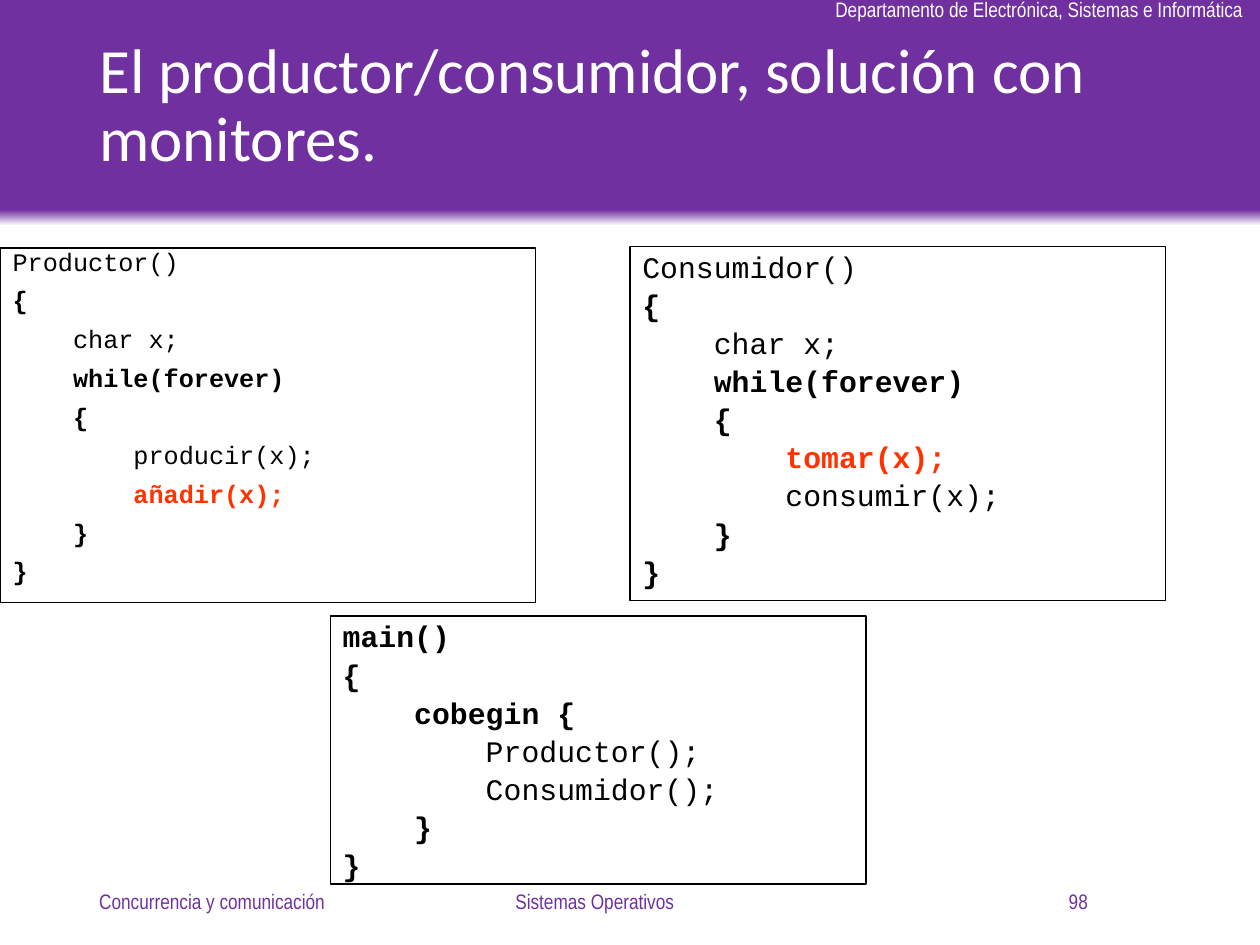
from lxml import etree
from pptx import Presentation
from pptx.dml.color import RGBColor
from pptx.enum.shapes import MSO_SHAPE
from pptx.enum.text import MSO_ANCHOR, MSO_AUTO_SIZE, PP_ALIGN
from pptx.oxml.ns import qn
from pptx.util import Cm, Pt

RECTANGLE = MSO_SHAPE.RECTANGLE
TOP, MIDDLE = MSO_ANCHOR.TOP, MSO_ANCHOR.MIDDLE
LEFT, CENTER, RIGHT = PP_ALIGN.LEFT, PP_ALIGN.CENTER, PP_ALIGN.RIGHT
NO_AUTOFIT = MSO_AUTO_SIZE.NONE

PURPLE, WHITE, BLACK, RED = "7030A0", "FFFFFF", "000000", "FF3300"
CODE_WIDTH = 10.8

# Code line styles: (bold, colour)
PLAIN, KEYWORD, MONITOR_CALL = (False, BLACK), (True, BLACK), (True, RED)

PRODUCER = [
    ("Productor()", PLAIN),
    ("{", KEYWORD),
    ("    char x;", PLAIN),
    ("    while(forever)", KEYWORD),
    ("    {", KEYWORD),
    ("        producir(x);", PLAIN),
    ("        añadir(x);", MONITOR_CALL),
    ("    }", KEYWORD),
    ("}", KEYWORD),
]
CONSUMER = [
    ("Consumidor()", PLAIN),
    ("{", KEYWORD),
    ("    char x;", PLAIN),
    ("    while(forever)", KEYWORD),
    ("    {", KEYWORD),
    ("        tomar(x);", MONITOR_CALL),
    ("        consumir(x);", PLAIN),
    ("    }", KEYWORD),
    ("}", KEYWORD),
]
MAIN_PROGRAM = [
    ("main()", KEYWORD),
    ("{", KEYWORD),
    ("    cobegin {", KEYWORD),
    ("        Productor();", PLAIN),
    ("        Consumidor();", PLAIN),
    ("    }", KEYWORD),
    ("}", KEYWORD),
]


def rgb(value):
    return RGBColor.from_string(value)


def place(shape, left, top, width, height):
    shape.left, shape.top = Cm(left), Cm(top)
    shape.width, shape.height = Cm(width), Cm(height)


def set_font(paragraph, name, size, color, bold=False):
    font = paragraph.font
    font.name, font.size, font.bold = name, Pt(size), bold
    font.color.rgb = rgb(color)


def add_rectangle(slide, left, top, width, height):
    rectangle = slide.shapes.add_shape(
        RECTANGLE, Cm(left), Cm(top), Cm(width), Cm(height))
    rectangle.shadow.inherit = False
    return rectangle


def add_header_band(slide):
    band = add_rectangle(slide, 0, 0, 25.4, 4.55)
    band.line.fill.background()
    band.fill.gradient()
    band.fill.gradient_angle = 90
    stops = zip(band.fill.gradient_stops, [(0, WHITE), (0.07, PURPLE)])
    for stop, (position, color) in stops:
        stop.position = position
        stop.color.rgb = rgb(color)


def add_label(slide, text, left, top, width, height, color,
              align=LEFT, anchor=MIDDLE, wrap=True):
    label = slide.shapes.add_textbox(Cm(left), Cm(top), Cm(width), Cm(height))
    frame = label.text_frame
    frame.word_wrap, frame.vertical_anchor = wrap, anchor
    paragraph = frame.paragraphs[0]
    paragraph.text, paragraph.alignment = text, align
    set_font(paragraph, "Arial Narrow", 12, color)


def fill_title(title, text):
    place(title, 1.75, 0.4, 21.9, 3.53)
    frame = title.text_frame
    frame.auto_size, frame.vertical_anchor = NO_AUTOFIT, MIDDLE
    paragraph = frame.paragraphs[0]
    paragraph.text = text
    paragraph.alignment, paragraph.line_spacing = LEFT, 0.9
    set_font(paragraph, "Calibri", 36, WHITE)


def set_hanging_indent(paragraph, indent):
    properties = paragraph._p.get_or_add_pPr()
    properties.set("marL", str(Cm(indent)))
    properties.set("indent", str(-Cm(indent)))
    etree.SubElement(properties, qn("a:buNone"))


def fill_code(box, lines, size=17, indent=0.95, line_spacing=0.9, gap=3.4):
    box.fill.background()
    box.line.color.rgb = rgb(BLACK)
    box.line.width = Pt(0.75)
    frame = box.text_frame
    frame.word_wrap, frame.auto_size = True, NO_AUTOFIT
    frame.vertical_anchor = TOP
    for index, (code, (bold, color)) in enumerate(lines):
        paragraph = frame.add_paragraph() if index else frame.paragraphs[0]
        paragraph.text = code
        set_hanging_indent(paragraph, indent)
        paragraph.alignment = LEFT
        paragraph.line_spacing = line_spacing
        paragraph.space_before = Pt(gap if index else 0)
        set_font(paragraph, "Courier New", size, color, bold)


def main():
    presentation = Presentation()
    presentation.slide_width, presentation.slide_height = Cm(25.4), Cm(19.05)
    slide = presentation.slides.add_slide(presentation.slide_layouts[1])
    title, producer = slide.placeholders

    # Header, sent behind the title
    add_header_band(slide)
    add_label(slide, "Departamento de Electrónica, Sistemas e Informática",
              16.59, -0.2, 8.84, 0.76, WHITE, anchor=TOP, wrap=False)
    slide.shapes._spTree.append(title._element)
    fill_title(title, "El productor/consumidor, solución con monitores.")

    # Footer
    for text, left, width, align in [
        ("Concurrencia y comunicación", 1.75, 5.72, LEFT),
        ("Sistemas Operativos", 7.7, 8.58, CENTER),
        ("98", 16.46, 5.72, RIGHT),
    ]:
        add_label(slide, text, left, 17.65, width, 1.02, PURPLE, align)

    # Code listings
    place(producer, 0, 5, CODE_WIDTH, 7.14)
    fill_code(producer, PRODUCER, size=14.4, indent=0.64,
              line_spacing=0.7, gap=10)
    fill_code(add_rectangle(slide, 6.66, 12.42, CODE_WIDTH, 5.4), MAIN_PROGRAM)
    fill_code(add_rectangle(slide, 12.7, 4.97, CODE_WIDTH, 7.14), CONSUMER)

    presentation.save("out.pptx")


if __name__ == "__main__":
    main()
